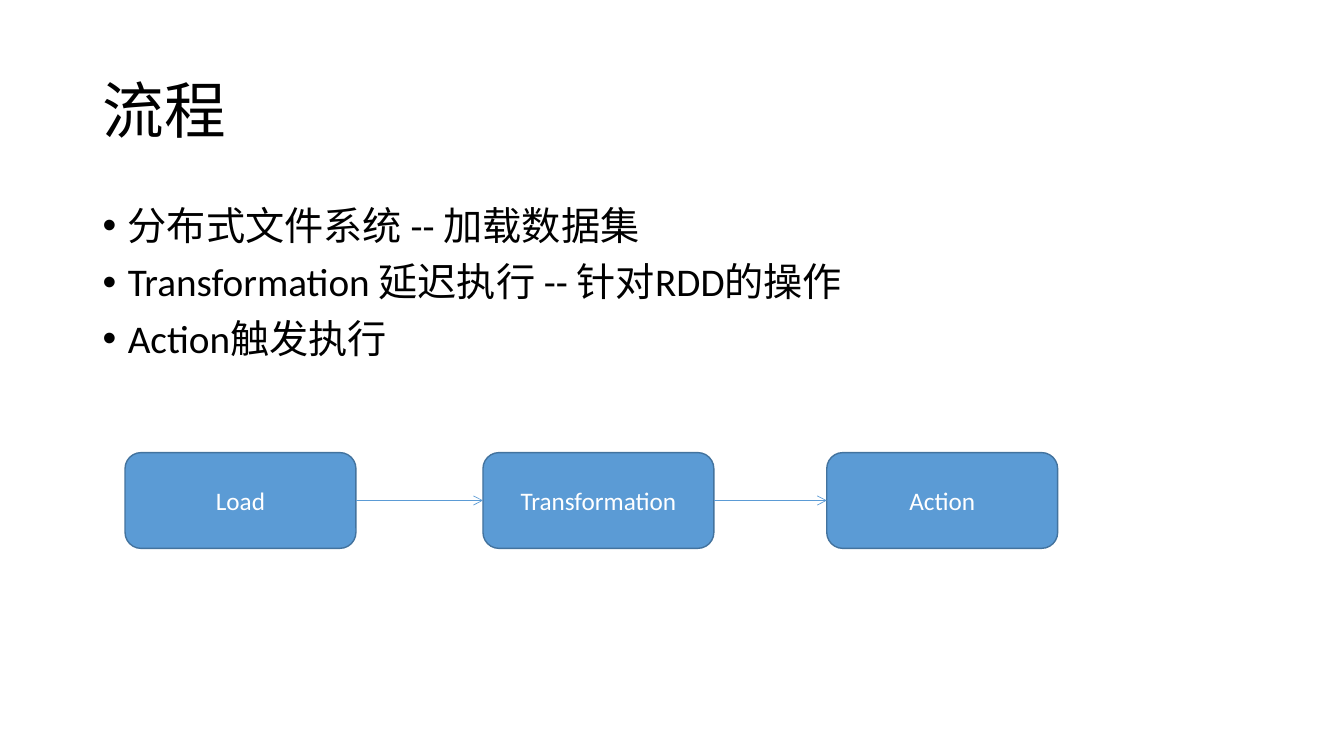
from dataclasses import dataclass
from itertools import pairwise

from lxml.etree import SubElement
from pptx import Presentation
from pptx.dml.color import RGBColor
from pptx.enum.shapes import MSO_CONNECTOR as CONNECTOR, MSO_SHAPE as SHAPE
from pptx.enum.text import MSO_ANCHOR as ANCHOR, PP_ALIGN as ALIGN
from pptx.oxml.ns import qn
from pptx.util import Inches, Pt


@dataclass(frozen=True)
class Theme:
    """Colours, font and type sizes of the slide."""
    font: str = "Calibri"
    text: RGBColor = RGBColor(0x00, 0x00, 0x00)
    box_text: RGBColor = RGBColor(0xFF, 0xFF, 0xFF)
    accent: RGBColor = RGBColor(0x5B, 0x9B, 0xD5)
    border: RGBColor = RGBColor(0x43, 0x73, 0x9E)
    title_size: int = 44
    body_size: int = 28
    box_size: int = 18


THEME = Theme()
BULLETS = [
    "分布式文件系统 -- 加载数据集",
    "Transformation 延迟执行 -- 针对RDD的操作",
    "Action触发执行",
]
STEPS = [("Load", 1.24), ("Transformation", 4.79), ("Action", 8.2)]
STEP_TOP, STEP_WIDTH, STEP_HEIGHT = 4.49, 2.29, 0.95


def style_runs(p, size, color):
    """Apply the theme font, a size and a colour to a paragraph's runs."""
    for r in p.runs:
        r.font.name = THEME.font
        r.font.size = Pt(size)
        r.font.color.rgb = color


def add_text(slide, lines, top, height, size, anchor):
    """Add a full-width text box and return its paragraphs."""
    sp = slide.shapes.add_textbox(Inches(0.92), Inches(top), Inches(11.5), Inches(height))
    tf = sp.text_frame
    tf.word_wrap = True
    tf.vertical_anchor = anchor
    tf.text = "\n".join(lines)
    for p in tf.paragraphs:
        p.line_spacing = 0.9
        style_runs(p, size, THEME.text)
    return tf.paragraphs


def add_bullet(p):
    """Give a paragraph a hanging bullet."""
    p.space_before = Pt(10)
    pPr = p._p.get_or_add_pPr()
    pPr.set("marL", str(Inches(0.25)))
    pPr.set("indent", str(Inches(-0.25)))
    SubElement(pPr, qn("a:buFont"), typeface="Arial")
    SubElement(pPr, qn("a:buChar"), char="•")


def add_step(slide, label, left):
    """Add one rounded process box."""
    sp = slide.shapes.add_shape(
        SHAPE.FLOWCHART_ALTERNATE_PROCESS,
        Inches(left), Inches(STEP_TOP), Inches(STEP_WIDTH), Inches(STEP_HEIGHT))
    sp.shadow.inherit = False
    sp.fill.solid()
    sp.fill.fore_color.rgb = THEME.accent
    sp.line.color.rgb = THEME.border
    sp.line.width = Pt(1)
    tf = sp.text_frame
    tf.text = label
    tf.vertical_anchor = ANCHOR.MIDDLE
    p = tf.paragraphs[0]
    p.alignment = ALIGN.CENTER
    style_runs(p, THEME.box_size, THEME.box_text)
    return sp


def add_arrow(slide, source, target):
    """Join the right side of one box to the left side of the next."""
    cxn = slide.shapes.add_connector(CONNECTOR.STRAIGHT, 0, 0, 0, 0)
    cxn.begin_connect(source, 3)
    cxn.end_connect(target, 1)
    cxn.line.color.rgb = THEME.accent
    cxn.line.width = Pt(0.5)
    SubElement(cxn.line._get_or_add_ln(), qn("a:tailEnd"), type="arrow")
    SubElement(cxn._element.spPr, qn("a:effectLst"))


def main():
    """Build and save the slide."""
    prs = Presentation()
    prs.slide_width, prs.slide_height = Inches(13.33), Inches(7.5)
    slide = prs.slides.add_slide(prs.slide_layouts[6])
    add_text(slide, ["流程"], 0.4, 1.45, THEME.title_size, ANCHOR.MIDDLE)
    for p in add_text(slide, BULLETS, 2, 4.76, THEME.body_size, ANCHOR.TOP):
        add_bullet(p)
    boxes = [add_step(slide, label, left) for label, left in STEPS]
    for source, target in pairwise(boxes):
        add_arrow(slide, source, target)
    prs.save("out.pptx")


if __name__ == "__main__":
    main()
